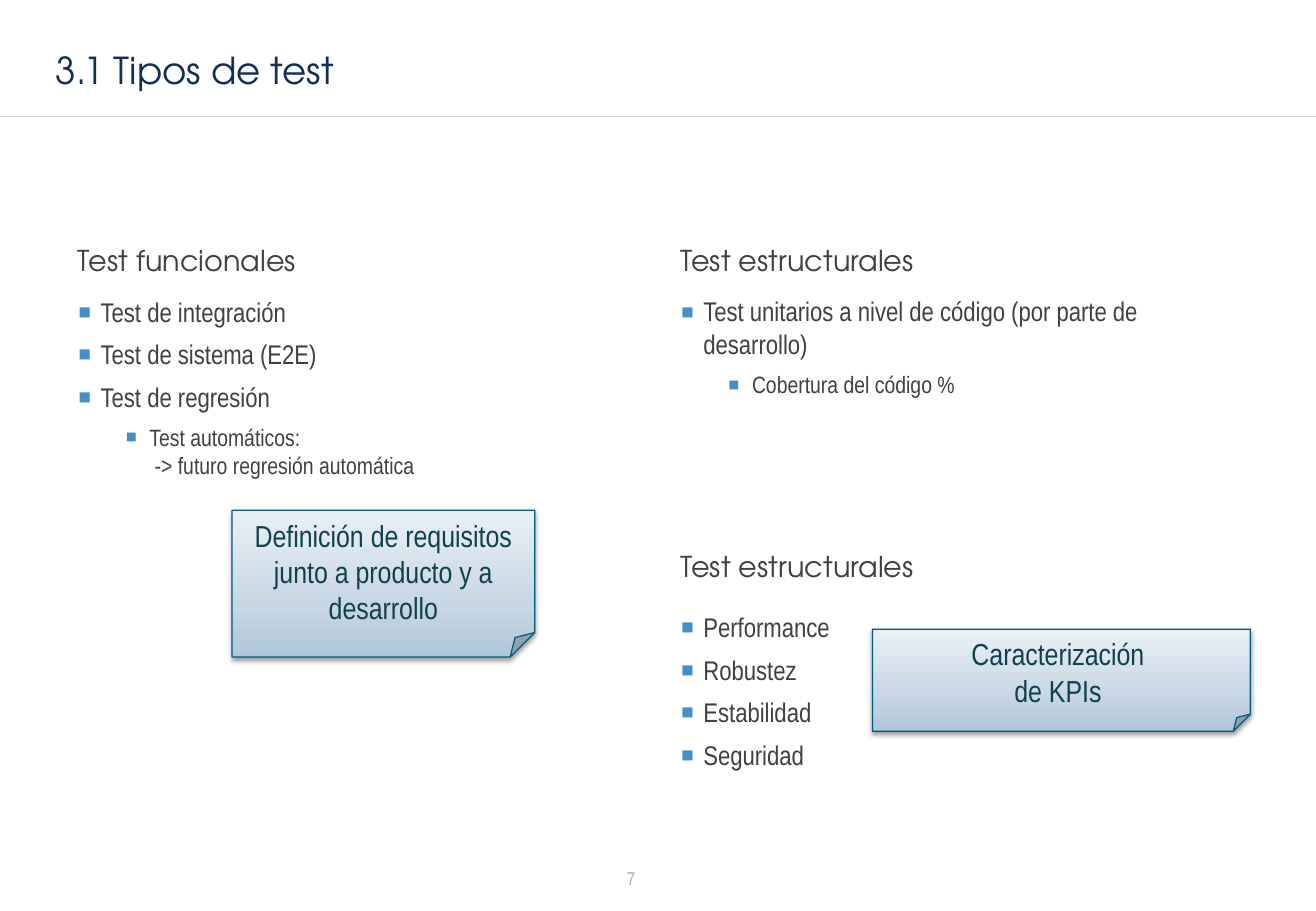
from lxml import etree
from pptx import Presentation
from pptx.dml.color import RGBColor
from pptx.enum.shapes import MSO_CONNECTOR, MSO_SHAPE
from pptx.enum.text import MSO_ANCHOR, PP_ALIGN
from pptx.oxml.ns import qn
from pptx.util import Inches, Pt

TOP, MIDDLE, BOTTOM = MSO_ANCHOR.TOP, MSO_ANCHOR.MIDDLE, MSO_ANCHOR.BOTTOM
LEFT, CENTER = PP_ALIGN.LEFT, PP_ALIGN.CENTER
FOLDED, STRAIGHT = MSO_SHAPE.FOLDED_CORNER, MSO_CONNECTOR.STRAIGHT

HEAD, BODY = "TeX Gyre Adventor", "Arial Narrow"
THEME = {  # font, size, colour
    "title": (HEAD, 22, "133054"),
    "head": (HEAD, 17, "404040"),
    0: (BODY, 16, "404040"),
    1: (BODY, 14, "404040"),
    "note": (BODY, 18, "11414F"),
    "page": (BODY, 11, "AAAFB3"),
    "bullet": "448ECA",
    "rule": "D9D9D9",
    "edge": "025D7A",
    "fade": [(0, "AEC6D9"), (35, "C7D7E4"), (100, "E9F0F5")],
}

WIDTH, HEIGHT = 10.83, 7.5
TITLE = "3.1 Tipos de test"
PAGE = "7"
COL_W, HEAD_H = 4.79, 0.7
INDENTS = [(0.19, -0.19), (0.59, -0.2)]

# left, heading top, list top, list height, heading, [(level, text)]
GROUPS = [
    (0.54, 1.63, 2.38, 4.32, "Test funcionales", [
        (0, "Test de integración"),
        (0, "Test de sistema (E2E)"),
        (0, "Test de regresión"),
        (1, "Test automáticos: \n -> futuro regresión automática"),
    ]),
    (5.5, 1.63, 2.38, 1.73, "Test estructurales", [
        (0, "Test unitarios a nivel de código (por parte de desarrollo)"),
        (1, "Cobertura del código %"),
    ]),
    (5.5, 4.15, 4.98, 1.73, "Test estructurales", [
        (0, "Performance"),
        (0, "Robustez"),
        (0, "Estabilidad"),
        (0, "Seguridad"),
    ]),
]
NOTES = [
    ((1.91, 4.2, 2.49, 1.21),
     "Definición de requisitos junto a producto y a desarrollo"),
    ((7.18, 5.18, 3.11, 0.84), "Caracterización \nde KPIs "),
]


def rgb(code):
    return RGBColor.from_string(code)


def node(parent, tag, **attrs):
    return etree.SubElement(parent, qn(tag), attrs)


def write(para, text, style):
    """Add one run per line, with line breaks between."""
    name, size, color = THEME[style]
    for i, line in enumerate(text.split("\n")):
        if i:
            para.add_line_break()
        run = para.add_run()
        run.text = line
        run.font.name, run.font.size = name, Pt(size)
        run.font.color.rgb = rgb(color)


def setup(frame, anchor=TOP, inset=None):
    frame.word_wrap = True
    frame.vertical_anchor = anchor
    if inset is not None:
        frame.margin_left = frame.margin_right = Inches(inset)
        frame.margin_top = frame.margin_bottom = Inches(inset)
    return frame


def add_box(slide, box, anchor=TOP, inset=None):
    shape = slide.shapes.add_textbox(*map(Inches, box))
    return setup(shape.text_frame, anchor, inset)


def add_bullet(para, level):
    para.level = level
    left, first = INDENTS[level]
    props = para._p.get_or_add_pPr()
    props.set("marL", str(Inches(left)))
    props.set("indent", str(Inches(first)))
    node(node(props, "a:buClr"), "a:srgbClr", val=THEME["bullet"])
    node(props, "a:buSzPct", val="150000")
    node(props, "a:buFont", typeface="Arial")
    node(props, "a:buChar", char="▪")
    para.space_after = Pt(6)


def add_group(slide, left, top, list_top, list_h, head, items):
    frame = add_box(slide, (left, top, COL_W, HEAD_H), BOTTOM)
    para = frame.paragraphs[0]
    para.space_after = Pt(6)
    write(para, head, "head")
    frame = add_box(slide, (left, list_top, COL_W, list_h))
    for i, (level, text) in enumerate(items):
        para = frame.add_paragraph() if i else frame.paragraphs[0]
        add_bullet(para, level)
        write(para, text, level)


def add_note(slide, box, text):
    shape = slide.shapes.add_shape(FOLDED, *map(Inches, box))
    shape.fill.gradient()
    shape.fill.gradient_angle = 90
    stops = shape._element.spPr.find(qn("a:gradFill")).find(qn("a:gsLst"))
    stops.clear()
    for pos, color in THEME["fade"]:
        stop = node(stops, "a:gs", pos=str(pos * 1000))
        node(stop, "a:srgbClr", val=color)
    shape.line.color.rgb = rgb(THEME["edge"])
    shape.line.width = Pt(0.75)
    shape.shadow.inherit = False
    effects = shape._element.spPr.find(qn("a:effectLst"))
    shade = node(effects, "a:outerShdw", blurRad=str(Pt(3.1)),
                 dist=str(Pt(1.6)), dir="5400000", rotWithShape="0")
    node(node(shade, "a:srgbClr", val="000000"), "a:alpha", val="38000")
    para = setup(shape.text_frame, MIDDLE).paragraphs[0]
    para.alignment = CENTER
    write(para, text, "note")


def add_title(slide):
    title = slide.shapes.title
    title.left, title.top = Inches(0.42), Inches(0.35)
    title.width, title.height = Inches(9.88), Inches(0.45)
    para = setup(title.text_frame, TOP, 0.04).paragraphs[0]
    para.alignment = LEFT
    write(para, TITLE, "title")


def add_rule(slide, top):
    rule = slide.shapes.add_connector(
        STRAIGHT, 0, Inches(top), Inches(WIDTH), Inches(top))
    rule.line.color.rgb = rgb(THEME["rule"])
    rule.line.width = Pt(0.75)
    node(rule._element.spPr, "a:effectLst")


def main():
    deck = Presentation()
    deck.slide_width, deck.slide_height = Inches(WIDTH), Inches(HEIGHT)
    slide = deck.slides.add_slide(deck.slide_layouts[5])
    add_rule(slide, 0.96)
    add_title(slide)
    for group in GROUPS:
        add_group(slide, *group)
    for box, text in NOTES:
        add_note(slide, box, text)
    page = add_box(slide, (5.16, 7.14, 0.52, 0.18), TOP, 0)
    write(page.paragraphs[0], PAGE, "page")
    deck.save("out.pptx")


if __name__ == "__main__":
    main()
